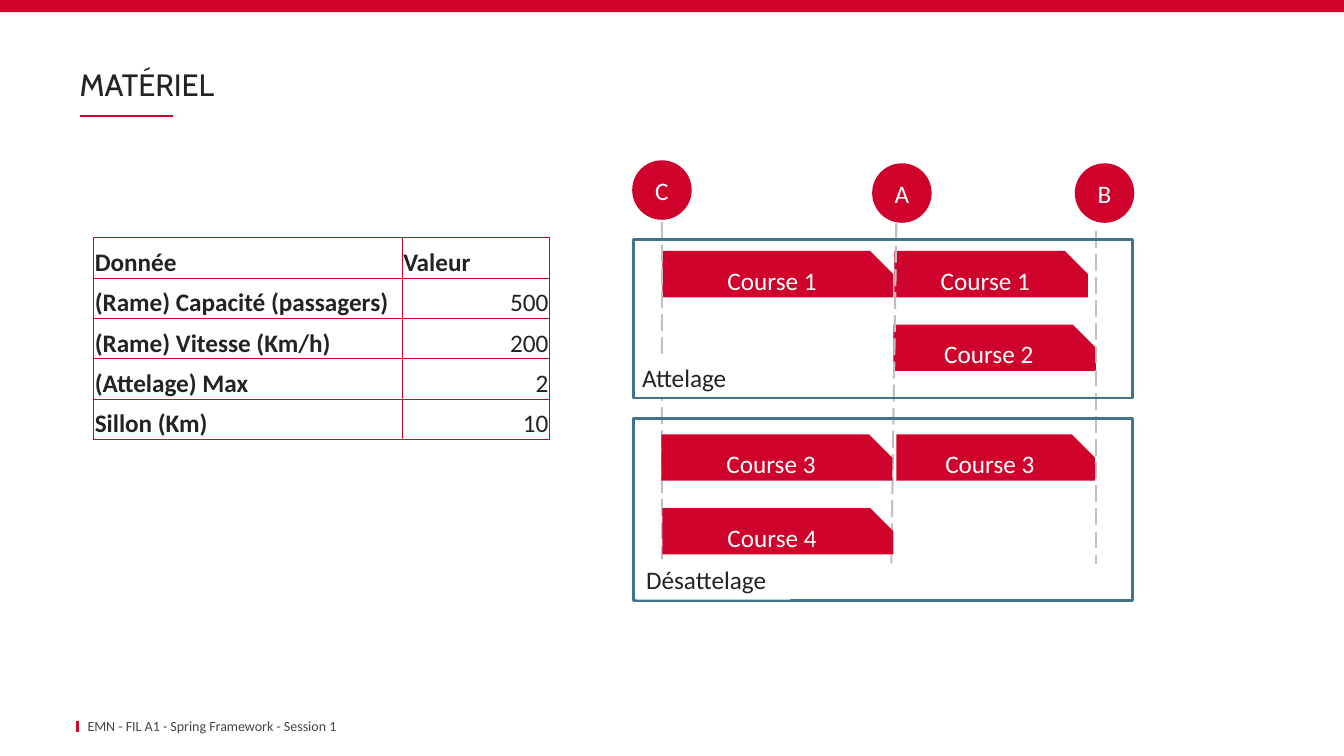
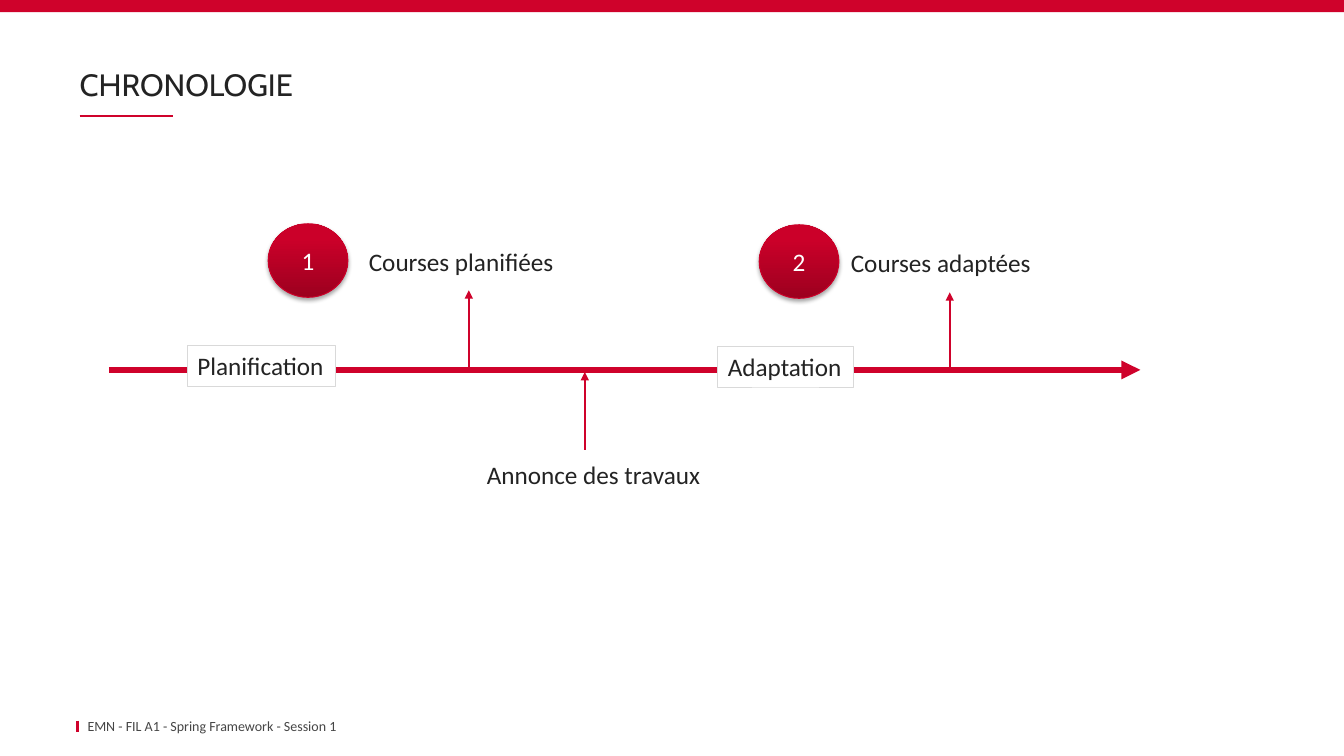
from lxml import etree
from pptx import Presentation
from pptx.dml.color import RGBColor
from pptx.enum import dml, shapes, text
from pptx.oxml.ns import qn
from pptx.util import Inches, Pt

RED, WHITE, INK, GREY, BLUE, PALE = "CF022B", "FFFFFF", "232323", "BFBFBF", "41738C", "D9D9D9"
FOOTER_INK, DEEP_RED, BRIGHT_RED, EDGE_RED = "464646", "9C001F", "CB0029", "CC0029"
TITLE_FONT, BODY_FONT = "Cabin", "Calibri"
FOOTER = "EMN - FIL A1 - Spring Framework - Session 1"
OVAL, RECT, SNIP = (shapes.MSO_SHAPE.OVAL, shapes.MSO_SHAPE.RECTANGLE,
                    shapes.MSO_SHAPE.SNIP_1_RECTANGLE)
MIDDLE, BOTTOM, TOP = text.MSO_ANCHOR.MIDDLE, text.MSO_ANCHOR.BOTTOM, text.MSO_ANCHOR.TOP
LEFT, CENTER, RIGHT = text.PP_ALIGN.LEFT, text.PP_ALIGN.CENTER, text.PP_ALIGN.RIGHT

# Slide 1: rolling stock
TABLE_ROWS = [
    ("Donnée", "Valeur"),
    ("(Rame) Capacité (passagers)", "500"),
    ("(Rame) Vitesse (Km/h)", "200"),
    ("(Attelage) Max", "2"),
    ("Sillon (Km)", "10"),
]
TABLE_AT, COLUMN_WIDTHS, ROW_HEIGHT = (0.93, 2.36), (3.06, 1.46), 0.4
STATION_SIZE, COURSE_HEIGHT = 0.59, 0.46
STATIONS = [("A", 8.65, 1.62), ("B", 10.66, 1.62), ("C", 6.27, 1.59)]
STATION_LINES = [((8.89, 2.21), (8.84, 5.6)), ((6.57, 2.2), (6.57, 5.57)),
                 ((10.87, 2.29), (10.87, 5.6))]
# Courses: text, left, top, width
COUPLING_COURSES = [("Course 1", 6.57, 2.49, 2.29), ("Course 2", 8.86, 3.22, 2.01),
                    ("Course 1", 8.87, 2.49, 1.92)]
UNCOUPLING_COURSES = [("Course 3", 6.56, 4.31, 2.29), ("Course 4", 6.57, 5.04, 2.29),
                      ("Course 3", 8.89, 4.31, 1.97)]
COUPLING_FRAME, UNCOUPLING_FRAME = (6.28, 2.38, 4.95, 1.57), (6.28, 4.15, 4.95, 1.81)
COUPLING_LABEL = ("Attelage", (6.27, 3.55, 1.73, 0.4))
UNCOUPLING_LABEL = ("Désattelage", (6.31, 5.55, 1.53, 0.4))

# Slide 2: timeline
TIME_AXIS = ((1.08, 3.67), (11.31, 3.67))
PHASES = [("Planification", (1.86, 3.43, 1.47, 0.4)), ("Adaptation", (7.12, 3.44, 1.34, 0.4))]
EVENTS = [
    ("Annonce des travaux", (4.73, 4.51, 2.34, 0.4), (5.8, 4.46), (5.8, 3.69)),
    ("Courses planifiées", (3.56, 2.39, 2.17, 0.4), (4.65, 3.65), (4.65, 2.88)),
    ("Courses adaptées", (8.34, 2.4, 2.01, 0.4), (9.42, 3.67), (9.42, 2.9)),
]
STEPS = [("1", (2.66, 2.22, 0.79, 0.73)), ("2", (7.53, 2.23, 0.79, 0.73))]


def rgb(value):
    return RGBColor.from_string(value)


def set_format(target, **values):
    for name, value in values.items():
        setattr(target, name, value)


def set_margins(target, left, top, right, bottom):
    set_format(target, margin_left=Inches(left), margin_top=Inches(top),
               margin_right=Inches(right), margin_bottom=Inches(bottom))


def write(frame, words, size=18, color=INK, font=BODY_FONT, bold=False, align=LEFT):
    frame.text = words
    paragraph = frame.paragraphs[0]
    paragraph.alignment = align
    set_format(paragraph.runs[0].font, size=Pt(size), name=font, bold=bold)
    paragraph.runs[0].font.color.rgb = rgb(color)


def paint(shape, fill=None, line=None, width=1):
    if fill:
        shape.fill.solid()
        shape.fill.fore_color.rgb = rgb(fill)
    else:
        shape.fill.background()
    if line:
        shape.line.color.rgb = rgb(line)
        shape.line.width = Pt(width)
    else:
        shape.line.fill.background()


def add_block(slide, kind, box, words="", **paint_values):
    shape = slide.shapes.add_shape(kind, *map(Inches, box))
    shape.shadow.inherit = False
    paint(shape, **paint_values)
    if words:
        shape.text_frame.vertical_anchor = MIDDLE
        write(shape.text_frame, words, color=WHITE, align=CENTER)
    return shape


def add_label(slide, words, box, wrap=False, anchor=TOP, size=18, color=INK, **paint_values):
    label = slide.shapes.add_textbox(*map(Inches, box))
    paint(label, **paint_values)
    set_format(label.text_frame, word_wrap=wrap, vertical_anchor=anchor)
    write(label.text_frame, words, size, color)


def add_line(slide, start, end, color=RED, width=1.5, dash=None, arrow=False):
    line = slide.shapes.add_connector(shapes.MSO_CONNECTOR.STRAIGHT, *map(Inches, start + end))
    line.line.color.rgb = rgb(color)
    set_format(line.line, width=Pt(width), dash_style=dash)
    properties = line.element.spPr
    if arrow:
        etree.SubElement(properties.find(qn("a:ln")), qn("a:tailEnd"), type="triangle")
    etree.SubElement(properties, qn("a:effectLst"))


def add_slide(presentation, title):
    """Add a slide with the shared title, band, rule and footer."""
    slide = presentation.slides.add_slide(presentation.slide_layouts[5])
    add_line(slide, (0.77, 7.15), (0.77, 7.26), width=2.25)
    add_line(slide, (0.79, 1.15), (1.72, 1.15), width=1)
    add_block(slide, RECT, (0, 0, 13.33, 0.12), fill=RED)
    holder = slide.shapes.title
    set_format(holder, left=Inches(0.79), top=Inches(0.21),
               width=Inches(11.73), height=Inches(0.86))
    frame = holder.text_frame
    set_margins(frame, 0, 0.05, 0, 0.05)
    set_format(frame, vertical_anchor=BOTTOM, auto_size=text.MSO_AUTO_SIZE.NONE)
    write(frame, title, 22, font=TITLE_FONT)
    frame.paragraphs[0].line_spacing = 0.9
    add_label(slide, FOOTER, (0.77, 7.11, 6.63, 0.18), True, MIDDLE, 10, FOOTER_INK)
    return slide


def add_borders(cell):
    properties = cell._tc.get_or_add_tcPr()
    for side in ("lnL", "lnR", "lnT", "lnB"):
        border = etree.SubElement(properties, qn(f"a:{side}"), w=str(Pt(1)))
        fill = etree.SubElement(border, qn("a:solidFill"))
        etree.SubElement(fill, qn("a:srgbClr"), val=RED)


def add_data_table(slide):
    size = (sum(COLUMN_WIDTHS), ROW_HEIGHT * len(TABLE_ROWS))
    table = slide.shapes.add_table(len(TABLE_ROWS), len(COLUMN_WIDTHS),
                                   *map(Inches, TABLE_AT + size)).table
    set_format(table, first_row=False, horz_banding=False)
    for column, width in zip(table.columns, COLUMN_WIDTHS):
        column.width = Inches(width)
    for row, values in enumerate(TABLE_ROWS):
        for column, value in enumerate(values):
            cell = table.cell(row, column)
            is_number = row > 0 and column > 0
            set_margins(cell, 0.01, 0.01, 0.01, 0)
            cell.vertical_anchor = BOTTOM
            write(cell.text_frame, value, bold=not is_number, align=RIGHT if is_number else LEFT)
            add_borders(cell)
            cell.fill.background()


def add_courses(slide, courses):
    for words, left, top, width in courses:
        course = add_block(slide, SNIP, (left, top, width, COURSE_HEIGHT), words, fill=RED)
        course.adjustments[0] = 0.5


def add_step(slide, number, box):
    """Add a numbered ball with a gradient and a soft shadow."""
    step = add_block(slide, OVAL, box, number, line=EDGE_RED, width=0.75)
    step.fill.gradient()
    step.fill.gradient_angle = 90
    for stop, color, position in zip(step.fill.gradient_stops, (DEEP_RED, BRIGHT_RED), (0, 0.8)):
        stop.color.rgb = rgb(color)
        stop.position = position
    shadow = etree.SubElement(step.element.spPr.find(qn("a:effectLst")), qn("a:outerShdw"),
                              blurRad=str(Pt(3.1)), dist=str(Pt(1.8)), dir="5400000",
                              rotWithShape="0")
    color = etree.SubElement(shadow, qn("a:srgbClr"), val="000000")
    etree.SubElement(color, qn("a:alpha"), val="35000")


def build_stock(presentation):
    slide = add_slide(presentation, "MATÉRIEL")
    for name, left, top in STATIONS:
        add_block(slide, OVAL, (left, top, STATION_SIZE, STATION_SIZE), name, fill=RED)
    add_courses(slide, COUPLING_COURSES)
    for start, end in STATION_LINES:
        add_line(slide, start, end, GREY, dash=dml.MSO_LINE.LONG_DASH)
    add_label(slide, *COUPLING_LABEL, wrap=True, fill=WHITE)
    add_block(slide, RECT, COUPLING_FRAME, line=BLUE, width=2)
    add_courses(slide, UNCOUPLING_COURSES)
    add_block(slide, RECT, UNCOUPLING_FRAME, line=BLUE, width=2)
    add_label(slide, *UNCOUPLING_LABEL, wrap=True, fill=WHITE)
    add_data_table(slide)


def build_timeline(presentation):
    slide = add_slide(presentation, "CHRONOLOGIE")
    add_line(slide, *TIME_AXIS, width=4.5, arrow=True)
    for words, box in PHASES:
        add_label(slide, words, box, fill=WHITE, line=PALE, width=0.5)
    for words, box, start, end in EVENTS:
        add_label(slide, words, box)
        add_line(slide, start, end, arrow=True)
    for number, box in STEPS:
        add_step(slide, number, box)


def main():
    presentation = Presentation()
    set_format(presentation, slide_width=Inches(13.33), slide_height=Inches(7.5))
    build_stock(presentation)
    build_timeline(presentation)
    presentation.save("out.pptx")


if __name__ == "__main__":
    main()
